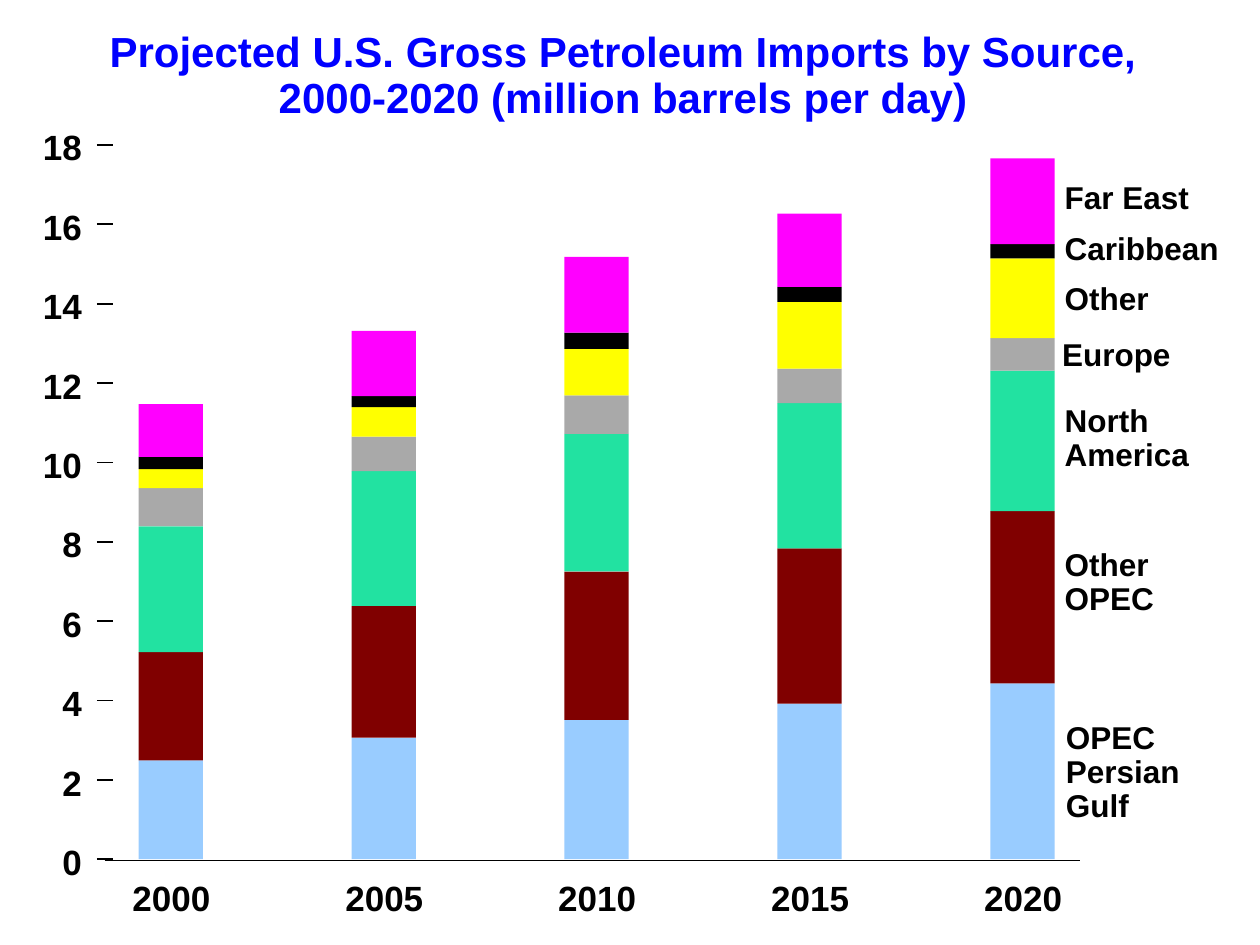
from pptx import Presentation, util as u
from pptx.dml.color import RGBColor
from pptx.enum import shapes, text
from pptx.oxml.xmlchemy import OxmlElement

TITLE = ("Projected U.S. Gross Petroleum Imports by Source,\n"
         "2000-2020 (million barrels per day)")
COLORS = {"title": "0000FF", "ink": "000000", "Persian Gulf": "99CCFF",
          "Other OPEC": "800000", "North America": "22E2A1", "Europe": "A9A9A9",
          "Other": "FFFF00", "Caribbean": "000000", "Far East": "FF00FF"}
YEARS = [2000, 2005, 2010, 2015, 2020]
# Million barrels per day, stacked from the bottom up
IMPORTS = {
    "Persian Gulf": [2.49, 3.06, 3.51, 3.92, 4.43],
    "Other OPEC": [2.73, 3.32, 3.74, 3.91, 4.34],
    "North America": [3.17, 3.40, 3.47, 3.66, 3.54],
    "Europe": [0.96, 0.87, 0.97, 0.87, 0.82],
    "Other": [0.48, 0.74, 1.17, 1.68, 2.01],
    "Caribbean": [0.31, 0.28, 0.41, 0.38, 0.36],
    "Far East": [1.33, 1.64, 1.91, 1.85, 2.16],
}
# Source labels: words, left, top, width
LABELS = [
    ("Caribbean", 8.45, 1.85, 1.26),
    ("Europe", 8.43, 2.69, 0.9),
    ("North\nAmerica", 8.45, 3.22, 1.03),
    ("Far East", 8.45, 1.45, 1.03),
    ("Other", 8.45, 2.25, 0.71),
    ("Other\nOPEC", 8.45, 4.36, 0.75),
    ("OPEC\nPersian\nGulf", 8.46, 5.73, 0.94),
]
BASE, UNIT = 6.82, 0.63 / 2          # axis height, inches per million barrels
FIRST_BAR, BAR_STEP, BAR_WIDTH = 1.1, 1.69, 0.51
ALIGN = text.PP_ALIGN


def color(name):
    return RGBColor.from_string(COLORS[name])


def apply(target, values):
    for name, value in values.items():
        setattr(target, name, value)


def place(shape, *bounds):
    apply(shape, dict(zip(("left", "top", "width", "height"), map(u.Inches, bounds))))


def write(box, words, size, align, ink="ink", spacing=1.0):
    frame = box.text_frame
    frame.text = words
    apply(frame, {"margin_left": 0, "margin_right": 0, "margin_top": 0,
                  "margin_bottom": 0, "word_wrap": False,
                  "vertical_anchor": text.MSO_ANCHOR.TOP,
                  "auto_size": text.MSO_AUTO_SIZE.SHAPE_TO_FIT_TEXT})
    for para in frame.paragraphs:
        apply(para, {"alignment": align, "line_spacing": spacing})
        apply(para.font, {"name": "Arial", "size": u.Pt(size), "bold": True})
        para.font.color.rgb = color(ink)


def add_label(page, words, bounds, size, align, spacing=1.0):
    box = page.shapes.add_textbox(*map(u.Inches, bounds))
    write(box, words, size, align, spacing=spacing)


def add_line(page, left, right, height, weight):
    line = page.shapes.add_connector(
        shapes.MSO_CONNECTOR.STRAIGHT, *map(u.Inches, (left, height, right, height)))
    line.line.color.rgb = color("ink")
    line.line.width = u.Pt(weight)
    line._element.spPr.append(OxmlElement("a:effectLst"))


def main():
    deck = Presentation()
    apply(deck, {"slide_width": u.Inches(10), "slide_height": u.Inches(7.5)})
    page = deck.slides.add_slide(deck.slide_layouts[5])

    # Title
    place(page.shapes.title, 0.77, 0.25, 8.35, 0.72)
    write(page.shapes.title, TITLE, 24, ALIGN.CENTER, "title", 0.9)

    # Value axis
    for value in range(0, 19, 2):
        height = BASE - value * UNIT
        add_line(page, 0.77, 0.9, height, 1)
        width = 0.16 * len(str(value))
        add_label(page, str(value), (0.65 - width, height - 0.15, width, 0.33),
                  20, ALIGN.RIGHT)

    # Stacked bars
    tops = [BASE] * len(YEARS)
    for source, amounts in IMPORTS.items():
        for index, amount in enumerate(amounts):
            tops[index] -= amount * UNIT
            bar = page.shapes.add_shape(
                shapes.MSO_SHAPE.RECTANGLE,
                *map(u.Inches, (FIRST_BAR + index * BAR_STEP, tops[index],
                                BAR_WIDTH, amount * UNIT)))
            bar.shadow.inherit = False
            bar.fill.solid()
            bar.fill.fore_color.rgb = color(source)
            bar.line.fill.background()

    # Years and source labels
    for index, year in enumerate(YEARS):
        add_label(page, str(year), (1.05 + index * BAR_STEP, 6.96, 0.62, 0.33),
                  20, ALIGN.CENTER)
    for words, left, top, width in LABELS:
        rows = words.count("\n") + 1
        add_label(page, words, (left, top, width, 0.27 * rows), 18, ALIGN.LEFT, 0.9)

    # Baseline
    add_line(page, 0.83, 8.57, 6.83, 0.75)
    deck.save("out.pptx")


if __name__ == "__main__":
    main()
